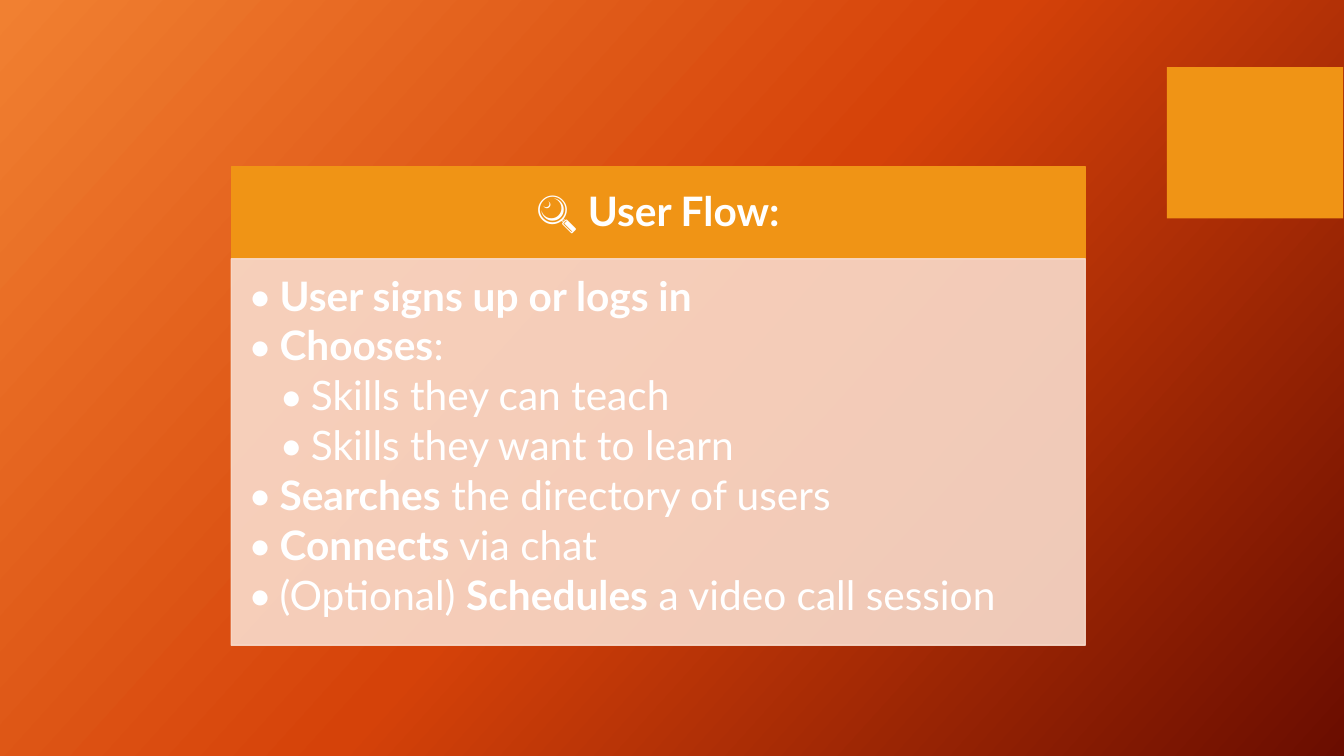
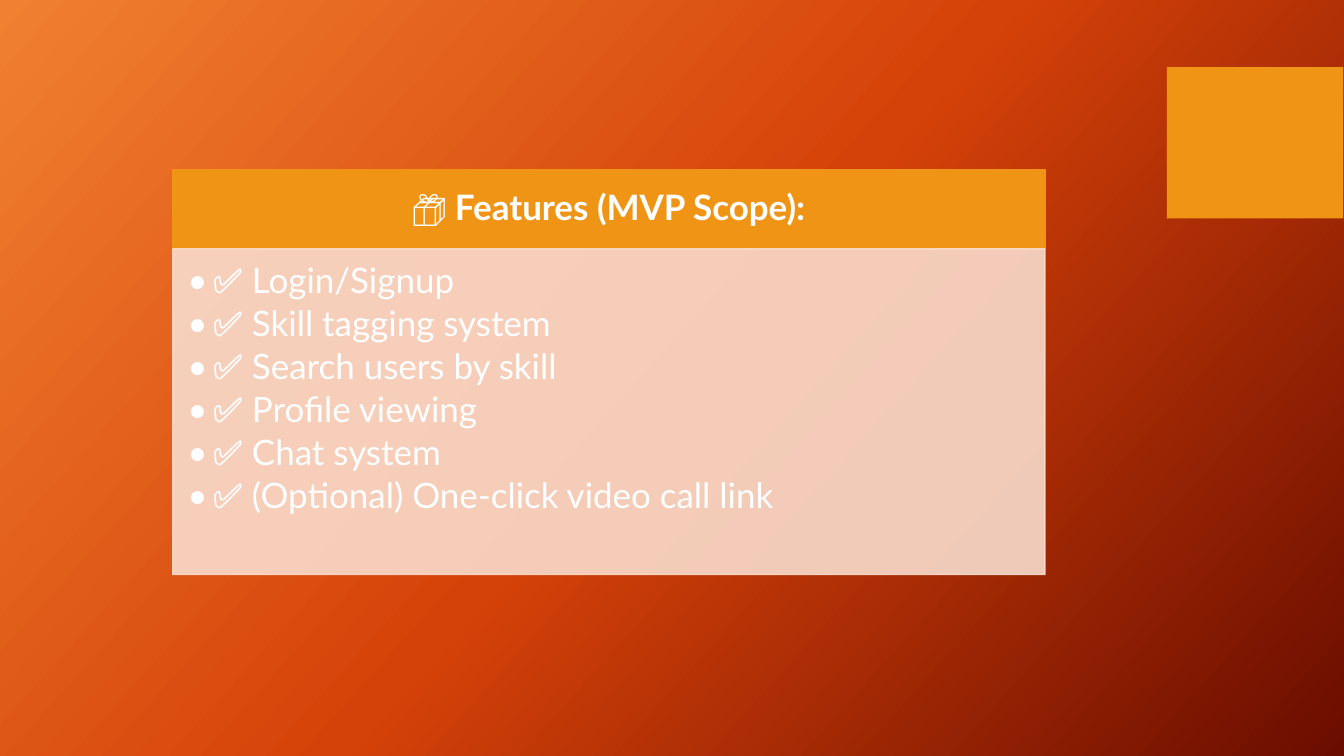
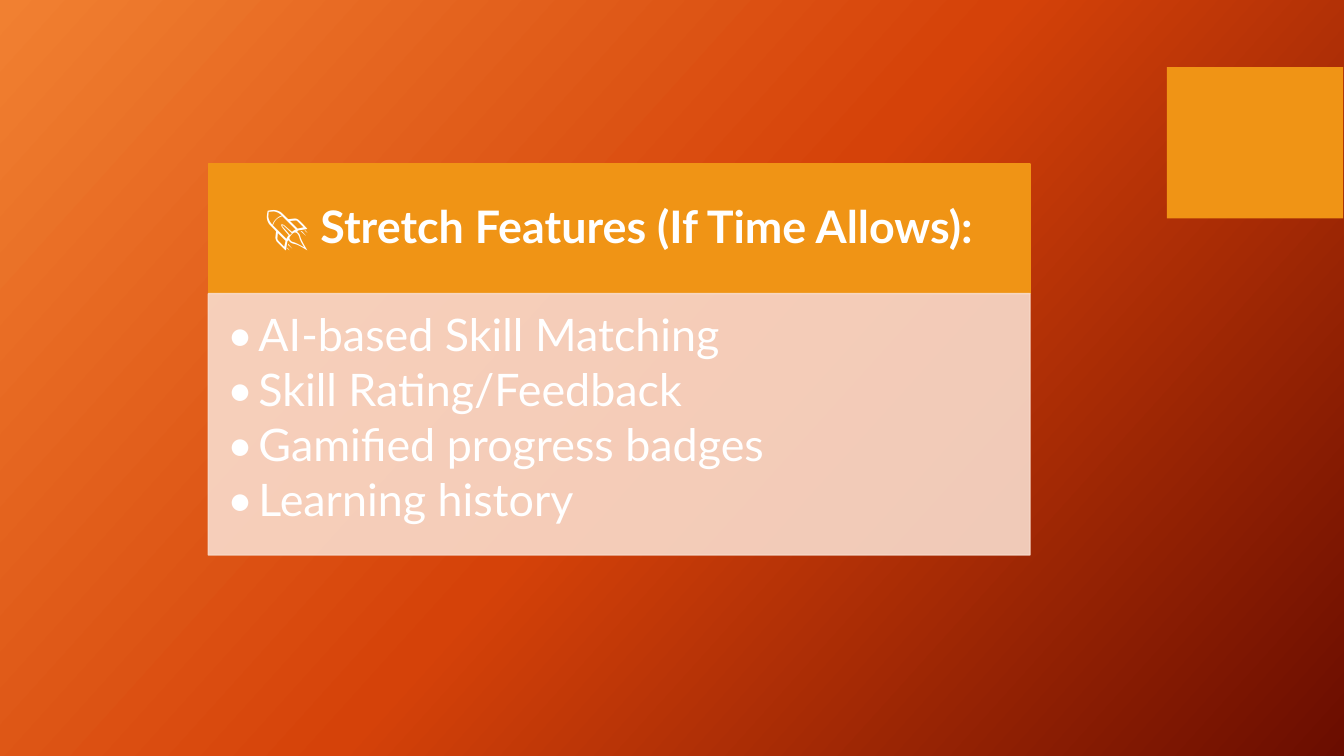
import copy
import dataclasses

import lxml.etree
import pptx
import pptx.dml.color
import pptx.enum.shapes
import pptx.enum.text
import pptx.oxml.ns
import pptx.util


@dataclasses.dataclass(frozen=True)
class Theme:
    font: str = "Lato"
    accent: str = "F09415"
    panel: str = "F9DCCC"
    panel_opacity: int = 90
    text: str = "FFFFFF"
    gradient: tuple = ((0, "F18031"), (50, "D54209"), (100, "6A0D00"))
    gradient_angle: int = 42
    line_spacing: float = 0.9
    header_gap: float = 0.35  # space after, share of the type size
    body_gap: float = 0.15
    # Left, top, right and bottom insets, as shares of the type size
    header_insets: tuple = (0.56, 0.32, 0.56, 0.32)
    body_insets: tuple = (0.42, 0.42, 0.56, 0.63)


@dataclasses.dataclass(frozen=True)
class Box:
    """Area in percent of the slide's width and height."""
    left: float
    top: float
    width: float
    height: float

    def split(self, header_height):
        header = dataclasses.replace(self, height=header_height)
        body = dataclasses.replace(self, top=self.top + header_height,
                                   height=self.height - header_height)
        return header, body

    def emu(self):
        return [int(share * side / 100) for share, side in
                ((self.left, WIDTH), (self.top, HEIGHT),
                 (self.width, WIDTH), (self.height, HEIGHT))]


@dataclasses.dataclass(frozen=True)
class Card:
    box: Box
    header_height: float
    size: int
    indent: float
    title: str
    items: tuple  # (level, text), with bold words between ** marks


THEME = Theme()
WIDTH, HEIGHT = pptx.util.Inches(13.33), pptx.util.Inches(7.5)
ACCENT_BOX = Box(86.83, 8.88, 13.12, 20)

CARDS = (
    Card(Box(17.21, 22.08, 63.54, 63.25), 12.16, 29, 0.31, "🔍 User Flow:", (
        (0, "**User signs up or logs in**"),
        (0, "**Chooses**:"),
        (1, "Skills they can teach"),
        (1, "Skills they want to learn"),
        (0, "**Searches** the directory of users"),
        (0, "**Connects** via chat"),
        (0, "(Optional) **Schedules** a video call session"),
    )),
    Card(Box(12.85, 22.4, 64.89, 53.6), 10.53, 25, 0.25,
         "📦 Features (MVP Scope):", (
             (0, "✅ Login/Signup"),
             (0, "✅ Skill tagging system"),
             (0, "✅ Search users by skill"),
             (0, "✅ Profile viewing"),
             (0, "✅ Chat system"),
             (0, "✅ (Optional) One-click video call link"),
         )),
    Card(Box(15.5, 21.68, 61.14, 51.74), 17.16, 32, 0.31,
         "🚀 Stretch Features (If Time Allows):", (
             (0, "AI-based Skill Matching"),
             (0, "Skill Rating/Feedback"),
             (0, "Gamified progress badges"),
             (0, "Learning history"),
         )),
)


def rgb(value):
    return pptx.dml.color.RGBColor.from_string(value)


def add_child(parent, tag, **attributes):
    return lxml.etree.SubElement(parent, pptx.oxml.ns.qn(tag), **attributes)


# Gradient background shared through the master
def style_master(master):
    fill = master.background.fill
    fill.gradient()
    fill.gradient_angle = 360 - THEME.gradient_angle
    first_stop = next(master.element.cSld.iter(pptx.oxml.ns.qn("a:gs")))
    first_stop.addnext(copy.deepcopy(first_stop))
    for stop, (position, color) in zip(fill.gradient_stops, THEME.gradient):
        stop.position = position / 100
        stop.color.rgb = rgb(color)


def add_block(page, box, color):
    block = page.shapes.add_shape(
        pptx.enum.shapes.MSO_SHAPE.RECTANGLE, *box.emu())
    block.shadow.inherit = False
    block.fill.solid()
    block.fill.fore_color.rgb = rgb(color)
    block.line.fill.background()
    return block


def add_panel(page, box, color, insets, size, anchor, opacity=100):
    panel = add_block(page, box, color)
    panel.line.color.rgb = rgb(color)
    panel.line.width = pptx.util.Pt(1)
    if opacity < 100:
        for paint in panel.element.spPr.iter(pptx.oxml.ns.qn("a:srgbClr")):
            add_child(paint, "a:alpha", val=str(opacity * 1000))
    frame = panel.text_frame
    frame.word_wrap = True
    frame.vertical_anchor = anchor
    (frame.margin_left, frame.margin_top,
     frame.margin_right, frame.margin_bottom) = (
        pptx.util.Pt(share * size) for share in insets)
    return frame


def write_para(para, text, size, gap, align):
    para.alignment = align
    para.line_spacing = THEME.line_spacing
    para.space_after = pptx.util.Pt(gap * size)
    para.font.name = THEME.font
    para.font.size = pptx.util.Pt(size)
    para.font.color.rgb = rgb(THEME.text)
    for index, part in enumerate(text.split("**")):
        if part:
            span = para.add_run()
            span.text = part
            span.font.bold = index % 2 == 1


def add_bullet(para, level, indent):
    para.level = level + 1
    step = pptx.util.Inches(indent)
    properties = para._p.get_or_add_pPr()
    properties.set("marL", str(step * (level + 1)))
    properties.set("indent", str(-step))
    run_defaults = properties.find(pptx.oxml.ns.qn("a:defRPr"))
    for tag, attributes in (("a:buFont", {"typeface": THEME.font}),
                            ("a:buChar", {"char": "•"})):
        run_defaults.addprevious(
            properties.makeelement(pptx.oxml.ns.qn(tag), attributes))


# Card: title band above a translucent bullet list
def add_card(page, card):
    header_box, body_box = card.box.split(card.header_height)
    anchors = pptx.enum.text.MSO_ANCHOR
    aligns = pptx.enum.text.PP_ALIGN

    header = add_panel(page, header_box, THEME.accent, THEME.header_insets,
                       card.size, anchors.MIDDLE)
    write_para(header.paragraphs[0], f"**{card.title}**", card.size,
               THEME.header_gap, aligns.CENTER)

    body = add_panel(page, body_box, THEME.panel, THEME.body_insets,
                     card.size, anchors.TOP, THEME.panel_opacity)
    for index, (level, text) in enumerate(card.items):
        para = body.add_paragraph() if index else body.paragraphs[0]
        write_para(para, text, card.size, THEME.body_gap, aligns.LEFT)
        add_bullet(para, level, card.indent)


def main():
    deck = pptx.Presentation()
    deck.slide_width, deck.slide_height = WIDTH, HEIGHT
    style_master(deck.slide_master)
    blank = deck.slide_layouts[6]
    for card in CARDS:
        page = deck.slides.add_slide(blank)
        add_block(page, ACCENT_BOX, THEME.accent)
        add_card(page, card)
    deck.save("out.pptx")


if __name__ == "__main__":
    main()
